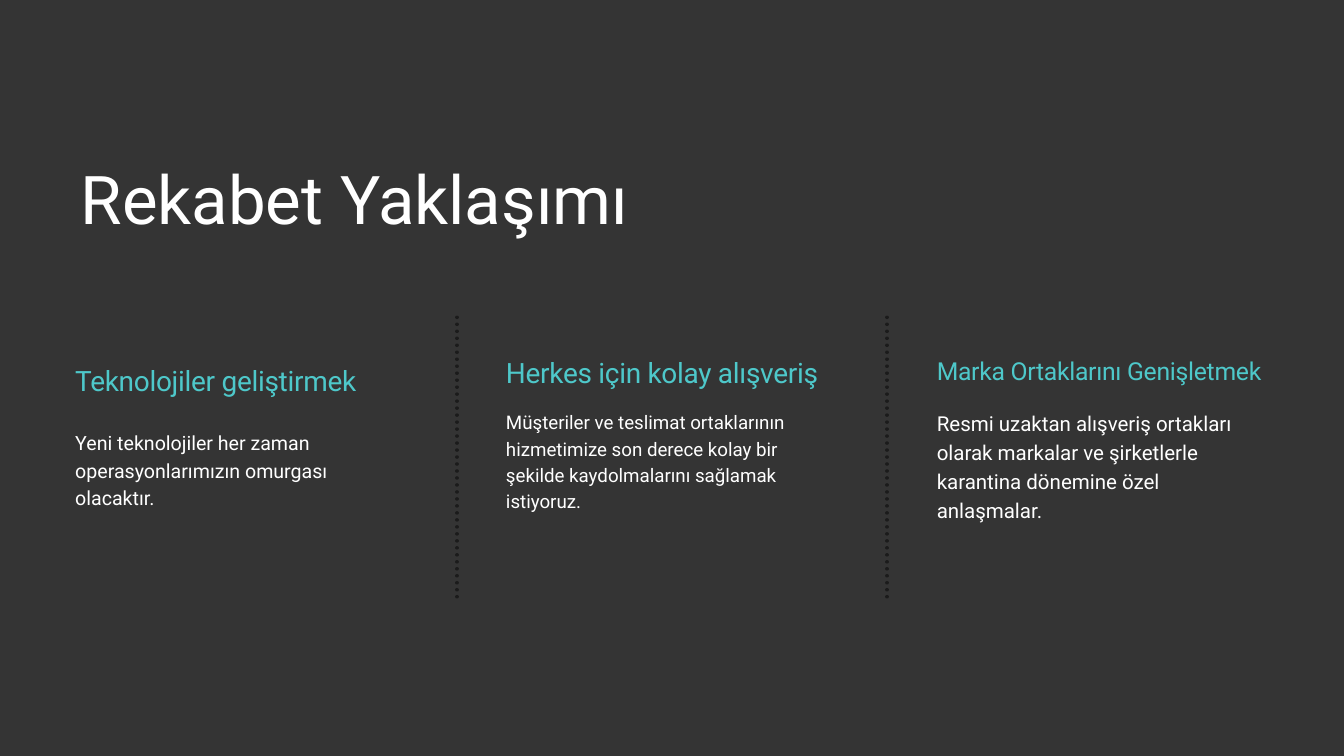
from lxml.etree import SubElement
from pptx import Presentation
from pptx.dml.color import RGBColor
from pptx.enum.dml import MSO_LINE
from pptx.enum.shapes import MSO_CONNECTOR
from pptx.enum.text import MSO_ANCHOR, MSO_AUTO_SIZE, PP_ALIGN
from pptx.oxml.ns import qn
from pptx.util import Inches, Pt

BACKGROUND = RGBColor(0x34, 0x34, 0x34)
WHITE = RGBColor(0xFF, 0xFF, 0xFF)
TEAL = RGBColor(0x4E, 0xC8, 0xCA)
DIVIDER = RGBColor(0x1B, 0x1B, 0x1B)

FRAME = dict(margin_left=0, margin_top=0, margin_right=0, margin_bottom=0,
             word_wrap=True, auto_size=MSO_AUTO_SIZE.NONE,
             vertical_anchor=MSO_ANCHOR.TOP)

COLUMN_LEFT, COLUMN_STEP, COLUMN_WIDTH = 1.12, 6.41, 4.94
DIVIDER_LEFT, DIVIDER_STEP = 6.8, 6.4
DIVIDER_TOP, DIVIDER_BOTTOM = 4.72, 8.88

# heading, its top, height and size; body, its top, height and size
COLUMNS = [
    ("Teknolojiler geliştirmek", 5.41, 0.5, 30,
     "Yeni teknolojiler her zaman operasyonlarımızın omurgası olacaktır.",
     6.36, 0.79, 21),
    ("Herkes için kolay alışveriş", 5.29, 0.5, 30,
     "Müşteriler ve teslimat ortaklarının hizmetimize son derece kolay bir "
     "şekilde kaydolmalarını sağlamak istiyoruz.",
     6.06, 1.12, 20.1),
    ("Marka Ortaklarını Genişletmek", 5.29, 0.44, 26.5,
     "Resmi uzaktan alışveriş ortakları olarak markalar ve şirketlerle "
     "karantina dönemine özel anlaşmalar.",
     6.06, 1.25, 22),
]


class SlideBuilder:
    font = "Roboto"

    def __init__(self, slide):
        self.s = slide
        fill = slide.background.fill
        fill.solid()
        fill.fore_color.rgb = BACKGROUND

    def fill_text(self, sp, text, size, color, leading, spacing=None):
        tf = sp.text_frame
        for name, value in FRAME.items():
            setattr(tf, name, value)
        p = tf.paragraphs[0]
        p.alignment = PP_ALIGN.LEFT
        p.space_before = Pt(0)
        p.line_spacing = Pt(size * leading)
        r = p.add_run()
        r.text = text
        for name, value in dict(name=self.font, size=Pt(size)).items():
            setattr(r.font, name, value)
        r.font.color.rgb = color
        if spacing is not None:
            r._r.get_or_add_rPr().set("spc", str(round(spacing * 100)))

    def title(self, text, left, top, width, height, size):
        sp = self.s.shapes.title
        box = dict(left=left, top=top, width=width, height=height)
        for name, value in box.items():
            setattr(sp, name, Inches(value))
        self.fill_text(sp, text, size, WHITE, 1.2)

    def text(self, text, left, top, width, height, *style):
        box = [Inches(v) for v in (left, top, width, height)]
        self.fill_text(self.s.shapes.add_textbox(*box), text, *style)

    def divider(self, x, top, bottom):
        ends = [Inches(v) for v in (x, bottom, x, top)]
        sp = self.s.shapes.add_connector(MSO_CONNECTOR.STRAIGHT, *ends)
        line = sp.line
        line.color.rgb = DIVIDER
        line.width = Pt(3.75)
        line.dash_style = MSO_LINE.ROUND_DOT
        sp_pr = sp._element.spPr
        sp_pr.find(qn("a:ln")).set("cap", "rnd")
        SubElement(sp_pr, qn("a:effectLst"))


def main():
    prs = Presentation()
    prs.slide_width, prs.slide_height = Inches(20), Inches(11.25)
    slide = SlideBuilder(prs.slides.add_slide(prs.slide_layouts[5]))

    # Title
    slide.title("Rekabet Yaklaşımı", 1.2, 2.34, 12.03, 1.2, 72)

    # Three columns
    for i, (head, head_top, head_height, head_size,
            body, body_top, body_height, body_size) in enumerate(COLUMNS):
        left = COLUMN_LEFT + i * COLUMN_STEP
        slide.text(body, left, body_top, COLUMN_WIDTH, body_height,
                   body_size, WHITE, 1.4)
        slide.text(head, left, head_top, COLUMN_WIDTH, head_height,
                   head_size, TEAL, 1.2, -0.3)

    # Dotted dividers between the columns
    for i in range(len(COLUMNS) - 1):
        slide.divider(DIVIDER_LEFT + i * DIVIDER_STEP,
                      DIVIDER_TOP, DIVIDER_BOTTOM)

    prs.save("out.pptx")


if __name__ == "__main__":
    main()
